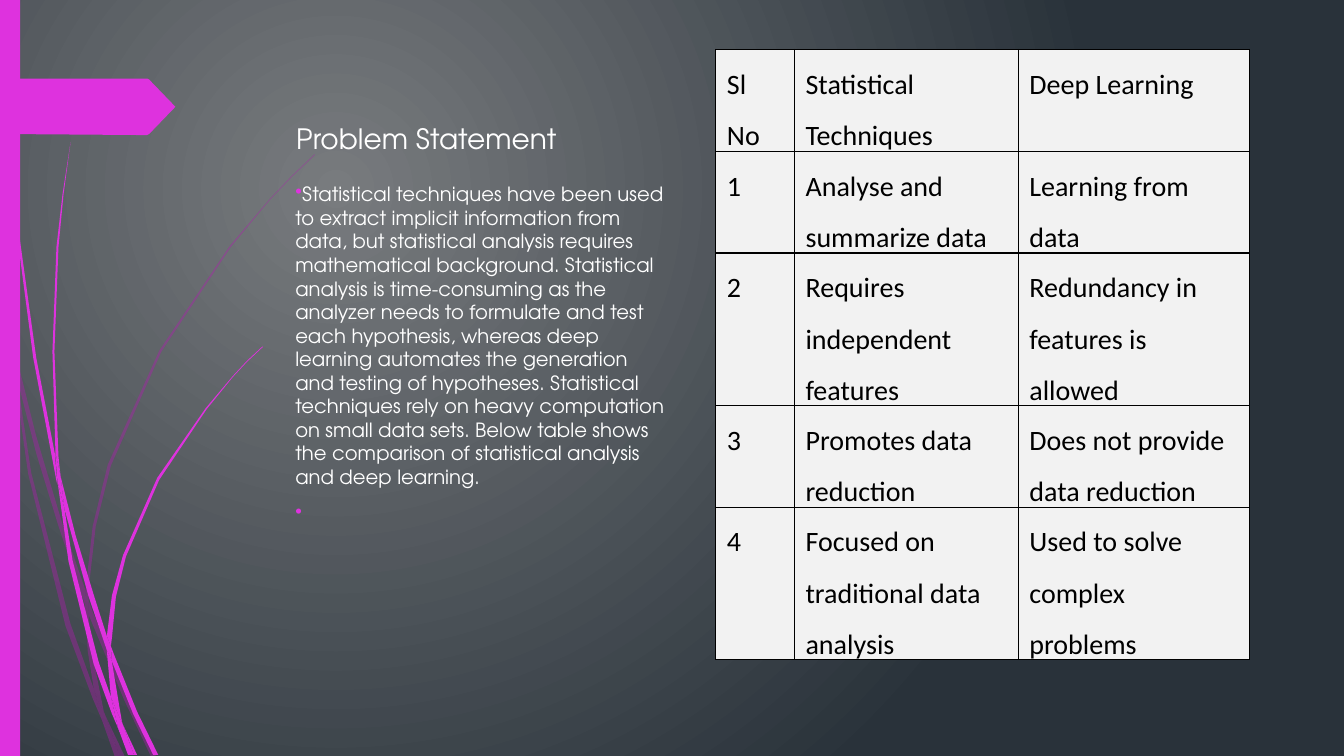
from lxml import etree
from pptx import Presentation
from pptx.dml.color import RGBColor
from pptx.enum.shapes import MSO_SHAPE as SHAPE
from pptx.enum.text import MSO_ANCHOR as ANCHOR
from pptx.oxml import parse_xml
from pptx.oxml.ns import nsdecls, qn
from pptx.util import Inches, Pt

MAGENTA = RGBColor(0xDE, 0x32, 0xDE)
PURPLE = RGBColor(0xB0, 0x1C, 0xB0)
WHITE = RGBColor(0xFF, 0xFF, 0xFF)
BLACK = RGBColor(0, 0, 0)
CELL_GREY = RGBColor(0xF2, 0xF2, 0xF2)
GLOW_GREY = RGBColor(0x78, 0x7B, 0x7E)
NIGHT_BLUE = RGBColor(0x29, 0x32, 0x3A)
HEADING_FONT = "TeX Gyre Adventor"
TABLE_FONT = "Calibri"

TITLE = "Problem Statement"
STATEMENT = (
    "Statistical techniques have been used to extract implicit information from data, "
    "but statistical analysis requires mathematical background. Statistical analysis is "
    "time-consuming as the analyzer needs to formulate and test each hypothesis, whereas "
    "deep learning automates the generation and testing of hypotheses. Statistical "
    "techniques rely on heavy computation on small data sets. Below table shows the "
    "comparison of statistical analysis and deep learning."
)
COMPARISON = [
    ("Sl No", "Statistical Techniques", "Deep Learning"),
    ("1", "Analyse and summarize data", "Learning from data"),
    ("2", "Requires independent features", "Redundancy in features is allowed"),
    ("3", "Promotes data reduction", "Does not provide data reduction"),
    ("4", "Focused on traditional data analysis", "Used to solve complex problems"),
]
COL_WIDTHS = [0.78, 2.22, 2.29]
ROW_HEIGHTS = [1, 1, 1.49, 1, 1.49]

PURPLE_WISPS = [
    [(0.11, 3.5), (0.09, 3.22), (0, 2.82), (0, 2.99), (0.1, 3.44)],
    [(0.58, 5.22), (0.84, 5.99), (0.85, 5.86), (0.62, 5.2), (0.36, 4.33), (0.14, 3.45),
     (0.17, 3.76), (0.36, 4.5)],
    [(0.92, 6.07), (0.88, 5.96), (0.88, 6.1), (1.23, 6.94), (1.5, 7.51), (1.55, 7.51),
     (1.27, 6.92)],
    [(1.19, 7.51), (1.24, 7.51), (1.05, 7.11)],
    [(0.93, 6.83), (0.7, 6.19), (0.31, 4.69), (0.17, 3.76), (0.11, 3.5), (0.28, 4.7),
     (0.65, 6.21), (0.92, 6.93), (1.01, 7.14), (0.99, 7.07)],
    [(0.84, 5.99), (0.87, 6.46), (0.93, 6.83), (0.96, 6.92), (1.05, 7.11), (1.03, 7.06),
     (0.91, 6.46), (0.88, 6.1), (0.88, 6.08)],
    [(0.88, 5.84), (0.95, 5.22), (1.1, 4.62), (1.6, 3.49), (2.29, 2.45), (2.68, 1.98),
     (2.9, 1.75), (3.12, 1.54), (3.12, 1.53), (2.89, 1.75), (2.68, 1.97), (2.28, 2.44),
     (1.58, 3.48), (1.07, 4.61), (0.92, 5.22), (0.85, 5.84), (0.85, 5.86), (0.88, 5.96)],
    [(1.01, 7.14), (1.14, 7.51), (1.19, 7.51)],
    [(0.88, 6.08), (0.88, 5.96), (0.85, 5.86), (0.84, 5.99)],
    [(0.96, 6.92), (0.93, 6.83), (0.99, 7.07), (1.01, 7.14), (1.19, 7.51), (1.05, 7.11)],
]
MAGENTA_WISPS = [
    [(0.07, 1.1), (0.17, 2.33), (0.33, 3.55), (0.56, 4.77), (0.57, 4.81), (0.55, 4.57),
     (0.55, 4.53), (0.36, 3.55), (0.19, 2.32), (0.08, 1.09), (0.05, 0.48), (0.04, 0),
     (0.03, 0), (0.04, 0.48)],
    [(0.88, 5.92), (1.06, 6.45), (1.06, 6.31), (0.93, 5.9), (0.75, 5.31), (0.6, 4.72),
     (0.64, 5.05)],
    [(1.13, 6.49), (1.1, 6.41), (1.11, 6.56), (1.32, 7.08), (1.52, 7.49), (1.57, 7.49),
     (1.36, 7.06)],
    [(1.1, 6.91), (0.98, 6.57), (0.72, 5.56), (0.64, 5.05), (0.57, 4.77), (0.68, 5.57),
     (0.93, 6.59), (1.11, 7.08), (1.17, 7.22), (1.16, 7.17)],
    [(0.6, 4.72), (0.58, 4.53), (0.54, 3.49), (0.58, 2.45), (0.63, 1.93), (0.7, 1.41),
     (0.62, 1.93), (0.56, 2.45), (0.52, 3.49), (0.55, 4.49)],
    [(1.33, 7.49), (1.36, 7.49), (1.22, 7.19)],
    [(0.57, 4.77), (0.64, 5.05), (0.6, 4.72), (0.55, 4.49), (0.55, 4.53)],
    [(1.11, 6.33), (1.15, 5.92), (1.25, 5.52), (1.58, 4.76), (2.05, 4.06), (2.31, 3.74),
     (2.45, 3.59), (2.61, 3.44), (2.6, 3.44), (2.45, 3.58), (2.31, 3.73), (2.04, 4.05),
     (1.56, 4.74), (1.22, 5.51), (1.11, 5.91), (1.06, 6.31), (1.1, 6.41)],
    [(1.17, 7.22), (1.27, 7.49), (1.31, 7.49)],
    [(1.06, 6.45), (1.1, 6.91), (1.16, 7.06), (1.22, 7.19), (1.21, 7.16), (1.11, 6.56),
     (1.09, 6.51)],
    [(1.06, 6.45), (1.09, 6.51), (1.11, 6.56), (1.1, 6.41), (1.06, 6.31)],
    [(1.16, 7.06), (1.1, 6.91), (1.16, 7.17), (1.17, 7.22), (1.3, 7.49), (1.33, 7.49),
     (1.22, 7.19)],
]
ARROW_TAB = [(1.74, 1.06), (1.48, 1.33), (1.46, 1.34), (1.36, 1.34), (0, 1.33),
             (0, 0.78), (1.46, 0.78), (1.48, 0.79)]


def set_background(s):
    """Fill the slide with a circular gradient lit from the upper left."""
    fill = s.background.fill
    fill.gradient()
    for stop, color in zip(fill.gradient_stops, (GLOW_GREY, NIGHT_BLUE)):
        stop.color.rgb = color
    fill.gradient_stops[0].position, fill.gradient_stops[1].position = 0, 1
    grad = s.element.find(".//" + qn("a:gradFill"))
    grad.replace(grad.find(qn("a:lin")), parse_xml(
        f'<a:path {nsdecls("a")} path="circle">'
        '<a:fillToRect l="50000" t="50000" r="100000" b="100000"/></a:path>'))


def paint(sp, color, alpha=None):
    """Give a shape a flat fill without line or shadow."""
    sp.shadow.inherit = False
    sp.fill.solid()
    sp.fill.fore_color.rgb = color
    sp.line.fill.background()
    if alpha is not None:
        clr = sp._element.spPr.find(".//" + qn("a:srgbClr"))
        etree.SubElement(clr, qn("a:alpha"), val=str(alpha * 1000))


def add_outline(shapes, points, color, alpha=None):
    """Draw a closed filled outline through points in inches."""
    (x, y), *rest = [(Inches(px), Inches(py)) for px, py in points]
    builder = shapes.build_freeform(x, y)
    builder.add_line_segments(rest, close=True)
    paint(builder.convert_to_shape(), color, alpha)


def add_wisps(s, wisps, color, alpha=None):
    """Draw one group of curved strands."""
    group = s.shapes.add_group_shape()
    for points in wisps:
        add_outline(group.shapes, points, color, alpha)


def add_text(s, box, texts, size, anchor=ANCHOR.TOP):
    """Add a wrapped text box and return its paragraphs."""
    tf = s.shapes.add_textbox(*map(Inches, box)).text_frame
    tf.word_wrap = True
    tf.vertical_anchor = anchor
    tf.text = "\n".join(texts)
    for p in tf.paragraphs:
        p.font.name, p.font.size, p.font.color.rgb = HEADING_FONT, Pt(size), WHITE
    return tf.paragraphs


def add_bullet(p):
    """Give a paragraph a magenta bullet and space above."""
    p.space_before = Pt(10)
    pPr = p._p.get_or_add_pPr()
    bullet = (parse_xml(f'<a:buClr {nsdecls("a")}><a:srgbClr val="{MAGENTA}"/></a:buClr>'),
              parse_xml(f'<a:buChar {nsdecls("a")} char="•"/>'))
    at = pPr.index(pPr.find(qn("a:spcBef"))) + 1
    pPr[at:at] = bullet


def add_borders(cell):
    """Draw a thin black line on each side of a cell."""
    tcPr = cell._tc.get_or_add_tcPr()
    for i, side in enumerate(("lnL", "lnR", "lnT", "lnB")):
        tcPr.insert(i, parse_xml(
            f'<a:{side} {nsdecls("a")} w="{Pt(1)}"><a:solidFill>'
            f'<a:srgbClr val="{BLACK}"/></a:solidFill></a:{side}>'))


def fill_cell(cell, text):
    """Write and style one table cell."""
    cell.text = text
    cell.margin_left, cell.margin_right = Inches(0.11), Inches(0.12)
    cell.margin_top, cell.margin_bottom = Inches(0.01), 0
    cell.fill.solid()
    cell.fill.fore_color.rgb = CELL_GREY
    p = cell.text_frame.paragraphs[0]
    p.line_spacing = 1.5
    p.font.name, p.font.size, p.font.color.rgb = TABLE_FONT, Pt(20), BLACK
    add_borders(cell)


def add_comparison(s):
    """Add the table of statistical techniques and deep learning."""
    table = s.shapes.add_table(len(COMPARISON), len(COL_WIDTHS), Inches(7.1), Inches(0.49),
                               Inches(sum(COL_WIDTHS)), Inches(sum(ROW_HEIGHTS))).table
    for col, width in zip(table.columns, COL_WIDTHS):
        col.width = Inches(width)
    for row, height, texts in zip(table.rows, ROW_HEIGHTS, COMPARISON):
        row.height = Inches(height)
        for cell, text in zip(row.cells, texts):
            fill_cell(cell, text)


def main():
    """Build the slide and save it."""
    prs = Presentation()
    prs.slide_width, prs.slide_height = Inches(13.33), Inches(7.5)
    s = prs.slides.add_slide(prs.slide_layouts[6])
    set_background(s)
    add_wisps(s, PURPLE_WISPS, PURPLE, 40)
    add_wisps(s, MAGENTA_WISPS, MAGENTA)
    paint(s.shapes.add_shape(SHAPE.RECTANGLE, 0, 0, Inches(0.2), prs.slide_height), MAGENTA)
    add_outline(s.shapes, ARROW_TAB, MAGENTA)
    add_text(s, (2.84, 0.49, 3.9, 1.1), [TITLE], 20, ANCHOR.BOTTOM)
    for p in add_text(s, (2.83, 1.76, 3.89, 4.7), [STATEMENT, " "], 14):
        add_bullet(p)
    add_comparison(s)
    prs.save("out.pptx")


if __name__ == "__main__":
    main()
